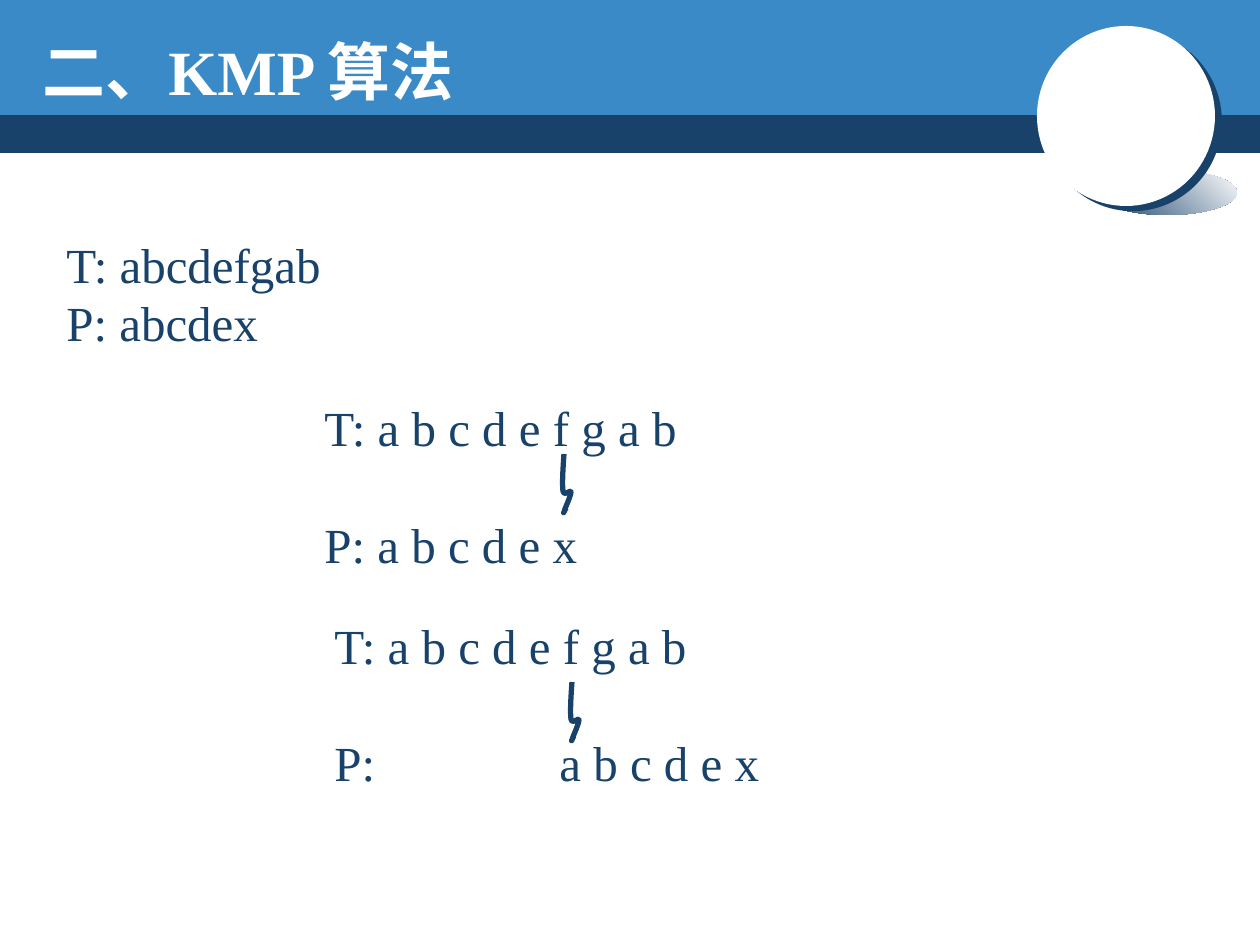
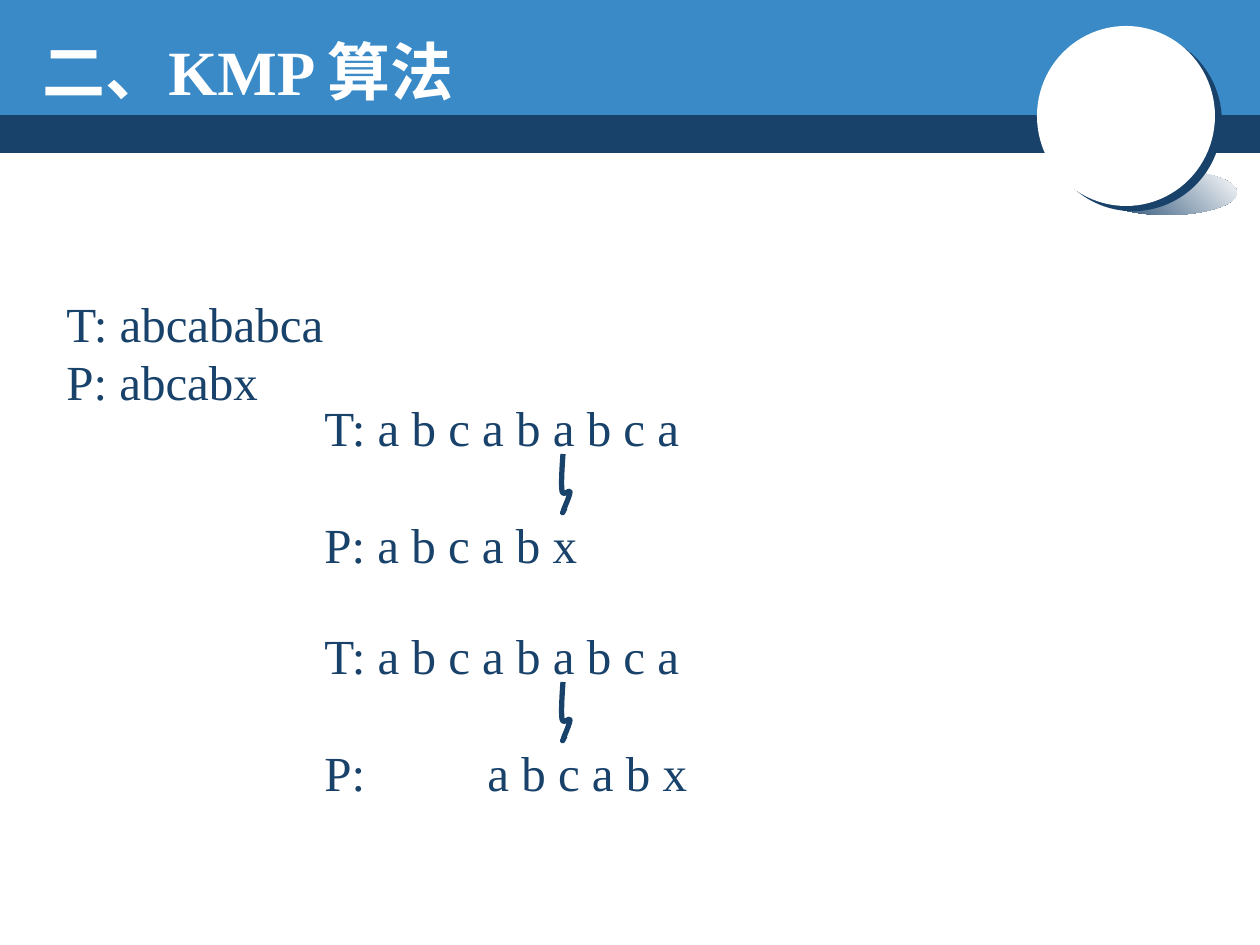
"""Builds two slides on the KMP string matching algorithm."""
from lxml import etree
from pptx import Presentation
from pptx.dml.color import RGBColor
from pptx.enum.shapes import MSO_SHAPE
from pptx.enum.text import MSO_ANCHOR
from pptx.oxml.ns import qn
from pptx.util import Pt

RECTANGLE, OVAL = MSO_SHAPE.RECTANGLE, MSO_SHAPE.OVAL
TOP, MIDDLE = MSO_ANCHOR.TOP, MSO_ANCHOR.MIDDLE
NAVY = RGBColor(0x19, 0x42, 0x6B)
BLUE = RGBColor(0x39, 0x8A, 0xC7)
WHITE = RGBColor(0xFF, 0xFF, 0xFF)
FONT = "Times New Roman"
EMU_PER_PX = 914400 / 126
LINE_PT = 33.6
ARROW_START = (2, 0)
ARROW_CURVES = [
    ((1, 15), (0, 30), (1, 37)),
    ((2, 43), (9, 35), (9, 38)),
    ((9, 42), (3, 54), (2, 58)),
    ((1, 60), (2, 58), (4, 54)),
]
CURVE_STEPS = 8


def px(length):
    """Turn pixels into EMU."""
    return round(length * EMU_PER_PX)


def add_solid(slide, kind, box, color):
    """Add a preset shape with a plain fill and no outline or shadow."""
    solid = slide.shapes.add_shape(kind, *map(px, box))
    solid.shadow.inherit = False
    solid.fill.solid()
    solid.fill.fore_color.rgb = color
    solid.line.fill.background()
    return solid


def add_text_box(slide, box, anchor=TOP, wrap=True):
    """Add an empty text box and return its frame."""
    frame = slide.shapes.add_textbox(*map(px, box)).text_frame
    frame.word_wrap = wrap
    frame.vertical_anchor = anchor
    return frame


def add_run(paragraph, text, size, color, bold=False):
    """Add one run in the deck's font."""
    run = paragraph.add_run()
    run.text = text
    run.font.name = FONT
    run.font.size = Pt(size)
    run.font.bold = bold
    run.font.color.rgb = color


def add_badge(slide, left, top):
    """Draw the white disc with its hard edge and soft ground shadow."""
    ground = add_solid(slide, OVAL, (left + 60, top + 144, 140, 45), NAVY)
    ground.fill.gradient()
    ground.fill.gradient_angle = 45
    for stop, color in zip(ground.fill.gradient_stops, (NAVY, WHITE)):
        stop.color.rgb = color

    disc = add_solid(slide, OVAL, (left, top, 178, 180), WHITE)
    effects = disc._element.spPr.find(qn("a:effectLst"))
    edge = etree.SubElement(effects, qn("a:outerShdw"), blurRad="0",
                            dist=str(Pt(5)), dir=str(37 * 60000),
                            algn="ctr", rotWithShape="0")
    etree.SubElement(edge, qn("a:srgbClr"), val=str(NAVY))


def add_header(slide, title):
    """Draw the two bands, the badge and the title."""
    add_solid(slide, RECTANGLE, (0, 110, 1260, 43), NAVY)
    add_solid(slide, RECTANGLE, (0, 0, 1260, 115), BLUE)
    add_badge(slide, 1037, 26)
    frame = add_text_box(slide, (30, 26, 470, 88), MIDDLE, wrap=False)
    add_run(frame.paragraphs[0], title, 36, WHITE, bold=True)


def add_strings(slide, box, text, pattern, gap_pt=0, shift=0):
    """Write the text above the pattern, which a tab may shift right."""
    frame = add_text_box(slide, box)
    text_line, pattern_line = frame.paragraphs[0], frame.add_paragraph()
    for line in (text_line, pattern_line):
        line.line_spacing = Pt(LINE_PT)
    if gap_pt:
        pattern_line.space_before = Pt(gap_pt)
    if shift:
        tabs = etree.SubElement(pattern_line._p.get_or_add_pPr(), qn("a:tabLst"))
        etree.SubElement(tabs, qn("a:tab"), pos=str(px(shift)), algn="l")
    separator = "\t" if shift else " "
    add_run(text_line, f"T: {text}", 28, NAVY)
    add_run(pattern_line, f"P:{separator}{pattern}", 28, NAVY)


def curve_points():
    """Yield points along the arrow's Bezier curves."""
    start = ARROW_START
    for first, second, end in ARROW_CURVES:
        for step in range(1, CURVE_STEPS + 1):
            t = step / CURVE_STEPS
            u = 1 - t
            yield tuple(u**3 * a + 3 * u * u * t * b + 3 * u * t * t * c + t**3 * d
                        for a, b, c, d in zip(start, first, second, end))
        start = end


def add_mismatch_arrow(slide, left, top):
    """Draw the hand-drawn stroke that marks the mismatch."""
    points = [(px(left + x), px(top + y)) for x, y in curve_points()]
    builder = slide.shapes.build_freeform(px(left + ARROW_START[0]),
                                          px(top + ARROW_START[1]))
    builder.add_line_segments(points, close=False)
    stroke = builder.convert_to_shape()
    stroke.shadow.inherit = False
    stroke.fill.background()
    stroke.line.color.rgb = NAVY
    stroke.line.width = Pt(3)
    etree.SubElement(stroke.line._ln, qn("a:round"))


def add_comparison(slide, left, top, text, pattern, arrow, shift=0):
    """Place spaced-out strings with a mismatch arrow between them."""
    add_strings(slide, (left, top, 625, 189), " ".join(text), " ".join(pattern),
                LINE_PT, shift)
    add_mismatch_arrow(slide, *arrow)


def add_kmp_slide(deck, text, pattern, intro_top, before, after):
    """Build one example: the strings, then before and after the shift."""
    slide = deck.slides.add_slide(deck.slide_layouts[6])
    add_header(slide, "二、KMP 算法")
    add_strings(slide, (54, intro_top, 367, 131), text, pattern)
    for comparison in (before, after):
        add_comparison(slide, text=text, pattern=pattern, **comparison)


def main():
    """Build and save the deck."""
    deck = Presentation()
    deck.slide_width, deck.slide_height = px(1260), px(945)
    add_kmp_slide(deck, "abcdefgab", "abcdex", 228,
                  dict(left=312, top=391, arrow=(562, 454)),
                  dict(left=322, top=609, arrow=(570, 682), shift=225))
    add_kmp_slide(deck, "abcababca", "abcabx", 287,
                  dict(left=312, top=391, arrow=(561, 454)),
                  dict(left=312, top=619, arrow=(561, 682), shift=163))
    deck.save("out.pptx")


if __name__ == "__main__":
    main()
